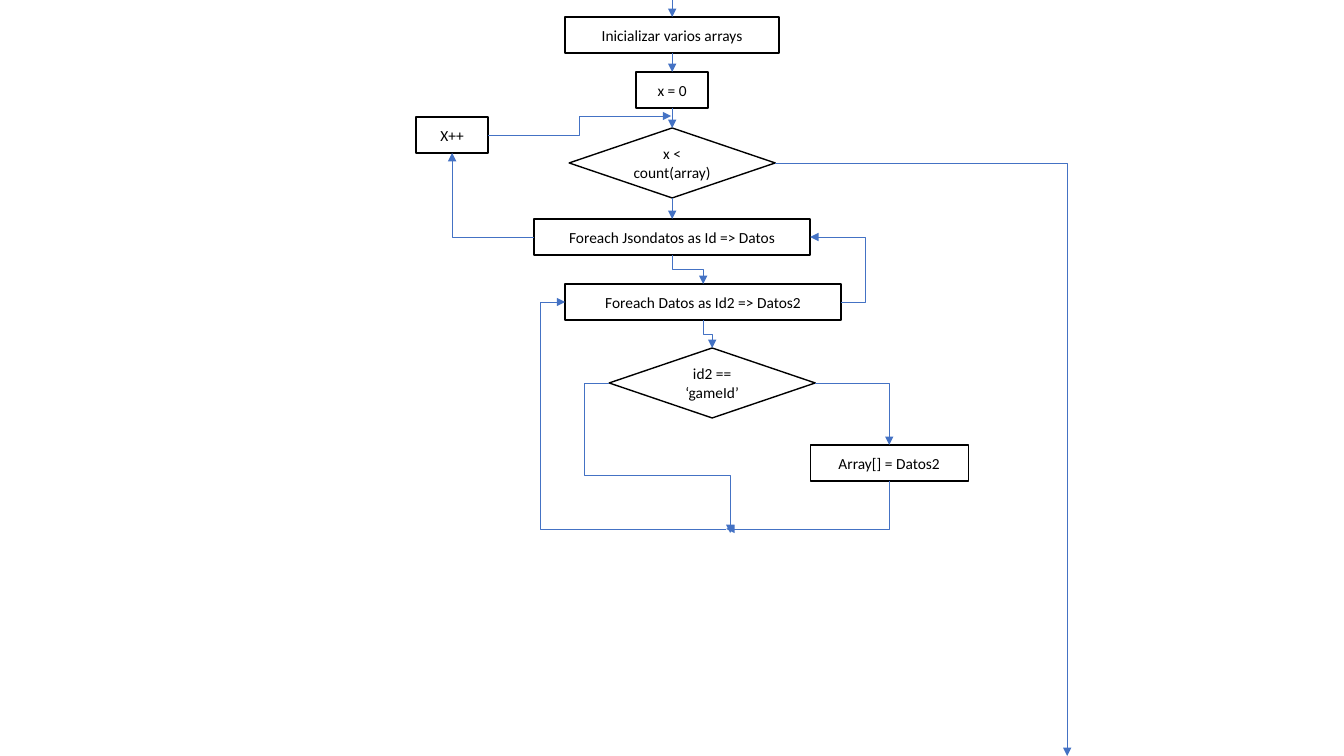
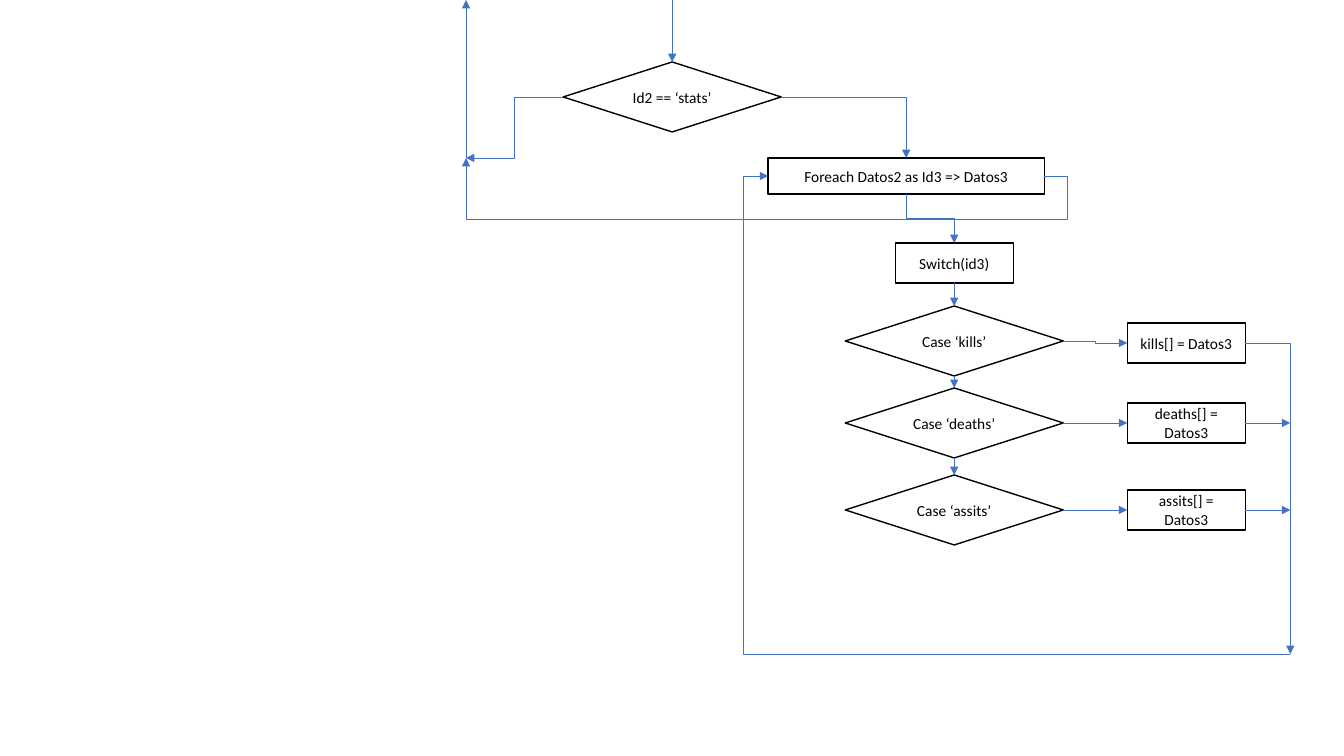
from lxml.etree import SubElement
from pptx import Presentation
from pptx.dml.color import RGBColor
from pptx.enum.shapes import MSO_CONNECTOR, MSO_SHAPE
from pptx.enum.text import MSO_ANCHOR, PP_ALIGN
from pptx.oxml.ns import qn
from pptx.util import Emu, Inches, Pt

SCALE = 914400 / 100.8
FONT = "Calibri"
COLORS = {"fill": "FFFFFF", "ink": "000000", "link": "4472C4"}
SHAPES = {"box": MSO_SHAPE.RECTANGLE, "test": MSO_SHAPE.DIAMOND}
TOP, LEFT, BOTTOM, RIGHT = range(4)

CASES = [("kills", 306, 323), ("deaths", 388, 403), ("assits", 475, 490)]
RAIL, MERGE = 1290, (466, 158)

INIT = {
    "nodes": {
        "init": ("box", 565, 17, 214, 36, "Inicializar varios arrays"),
        "zero": ("box", 636, 72, 72, 36, "x = 0"),
        "count": ("test", 569, 128, 206, 70, "x < count(array)"),
        "json": ("box", 534, 219, 276, 36, "Foreach Jsondatos as Id => Datos"),
        "data": ("box", 565, 284, 276, 36, "Foreach Datos as Id2 => Datos2"),
        "game": ("test", 609, 348, 206, 70, "id2 == ‘gameId’"),
        "array": ("box", 810, 445, 158, 36, "Array[] = Datos2"),
        "next": ("box", 416, 117, 72, 36, "X++"),
    },
    "links": [
        (1, (672, 0), ("init", TOP)),
        (1, ("init", BOTTOM), ("zero", TOP)),
        (1, ("zero", BOTTOM), ("count", TOP)),
        (1, ("count", BOTTOM), ("json", TOP)),
        (3, ("json", BOTTOM), ("data", TOP)),
        (3, ("data", BOTTOM), ("game", TOP)),
        (2, ("game", RIGHT), ("array", TOP)),
        (2, ("array", BOTTOM), (726, 529)),
        (4, ("game", LEFT), (730, 533), 584, 475),
        (3, (726, 529), ("data", LEFT), 540),
        (3, ("data", RIGHT), ("json", RIGHT), 865),
        (2, ("json", LEFT), ("next", BOTTOM)),
        (3, ("next", RIGHT), (671, 116)),
        (2, ("count", RIGHT), (1067, 756)),
    ],
}

STATS = {
    "nodes": {
        "stats": ("test", 563, 62, 218, 70, "Id2 == ‘stats’"),
        "each": ("box", 768, 158, 276, 36, "Foreach Datos2 as Id3 => Datos3"),
        "switch": ("box", 895, 243, 118, 40, "Switch(id3)"),
    },
    "links": [
        (1, (672, 0), ("stats", TOP)),
        (2, ("stats", RIGHT), ("each", TOP)),
        (3, ("stats", LEFT), MERGE),
        (1, MERGE, (466, 0)),
        (5, ("each", RIGHT), MERGE, 1067, 219, 466),
        (3, ("each", BOTTOM), ("switch", TOP)),
        (2, ("kills[]", RIGHT), (RAIL, 654)),
        (3, (RAIL, 654), ("each", LEFT), 743),
    ],
}


def add_cases(flow):
    last = "switch"
    for name, high, low in CASES:
        store = name + "[]"
        flow["nodes"][name] = ("test", 845, high, 218, 70, f"Case ‘{name}’")
        flow["nodes"][store] = ("box", 1127, low, 118, 40, f"{store} = Datos3")
        flow["links"].append((1, (last, BOTTOM), (name, TOP)))
        level = high + 35 == low + 20
        flow["links"].append((1 if level else 3, (name, RIGHT), (store, LEFT)))
        if level:
            flow["links"].append((1, (store, RIGHT), (RAIL, low + 20)))
        last = name


def px(value):
    return Emu(round(value * SCALE))


def color(name):
    return RGBColor.from_string(COLORS[name])


def add_node(slide, kind, x, y, w, h, text):
    node = slide.shapes.add_shape(SHAPES[kind], px(x), px(y), px(w), px(h))
    node.shadow.inherit = False
    node.fill.solid()
    node.fill.fore_color.rgb = color("fill")
    node.line.color.rgb = color("ink")
    node.line.width = Pt(1)
    frame = node.text_frame
    frame.word_wrap = True
    frame.vertical_anchor = MSO_ANCHOR.MIDDLE
    para = frame.paragraphs[0]
    para.alignment = PP_ALIGN.CENTER
    run = para.add_run()
    run.text = text
    run.font.name = FONT
    run.font.size = Pt(11)
    run.font.color.rgb = color("ink")
    return node


def locate(nodes, end):
    if not isinstance(end[0], str):
        return end
    x, y, w, h = nodes[end[0]][1:5]
    return [(x + w / 2, y), (x, y + h / 2), (x + w / 2, y + h), (x + w, y + h / 2)][end[1]]


def bend(link, count, start, stop, stops, upright):
    dx, dy = stop[0] - start[0], stop[1] - start[1]
    w, h = abs(dx), abs(dy)
    turn, flip, flop = (270, dy > 0, dx < 0) if upright else (0, dx < 0, dy < 0)
    if flip and flop:
        turn, flip, flop = (turn + 180) % 360, False, False
    if upright:
        w, h = h, w
    link.left = px((start[0] + stop[0] - w) / 2)
    link.top = px((start[1] + stop[1] - h) / 2)
    link.width, link.height = px(w), px(h)
    props = link._element.spPr
    frame = props.find(qn("a:xfrm"))
    frame.set("rot", str(turn * 60000))
    frame.set("flipH", str(int(flip)))
    frame.set("flipV", str(int(flop)))
    geom = props.find(qn("a:prstGeom"))
    geom.set("prst", f"bentConnector{count}")
    guides = geom.find(qn("a:avLst"))
    if guides is None:
        guides = SubElement(geom, qn("a:avLst"))
    for i, place in enumerate(stops):
        axis = (i + upright) % 2
        part = (place - start[axis]) / (stop[axis] - start[axis])
        SubElement(guides, qn("a:gd"), name=f"adj{i + 1}", fmla=f"val {round(part * 100000)}")


def add_link(slide, nodes, drawn, count, head, tail, *stops):
    start, stop = locate(nodes, head), locate(nodes, tail)
    kind = MSO_CONNECTOR.STRAIGHT if count == 1 else MSO_CONNECTOR.ELBOW
    link = slide.shapes.add_connector(kind, *map(px, (*start, *stop)))
    if head[0] in drawn:
        link.begin_connect(drawn[head[0]], head[1])
    if tail[0] in drawn:
        link.end_connect(drawn[tail[0]], tail[1])
    if count > 1:
        upright = head[0] in drawn and head[1] in (TOP, BOTTOM)
        bend(link, count, start, stop, stops, upright)
    link.line.color.rgb = color("link")
    link.line.width = Pt(0.5)
    SubElement(link.line._get_or_add_ln(), qn("a:tailEnd"), type="triangle")
    SubElement(link._element.spPr, qn("a:effectLst"))


def main():
    deck = Presentation()
    deck.slide_width, deck.slide_height = Inches(13.33), Inches(7.5)
    add_cases(STATS)
    for flow in (INIT, STATS):
        slide = deck.slides.add_slide(deck.slide_layouts[6])
        nodes = flow["nodes"]
        drawn = {name: add_node(slide, *node) for name, node in nodes.items()}
        for link in flow["links"]:
            add_link(slide, nodes, drawn, *link)
    deck.save("out.pptx")


if __name__ == "__main__":
    main()
